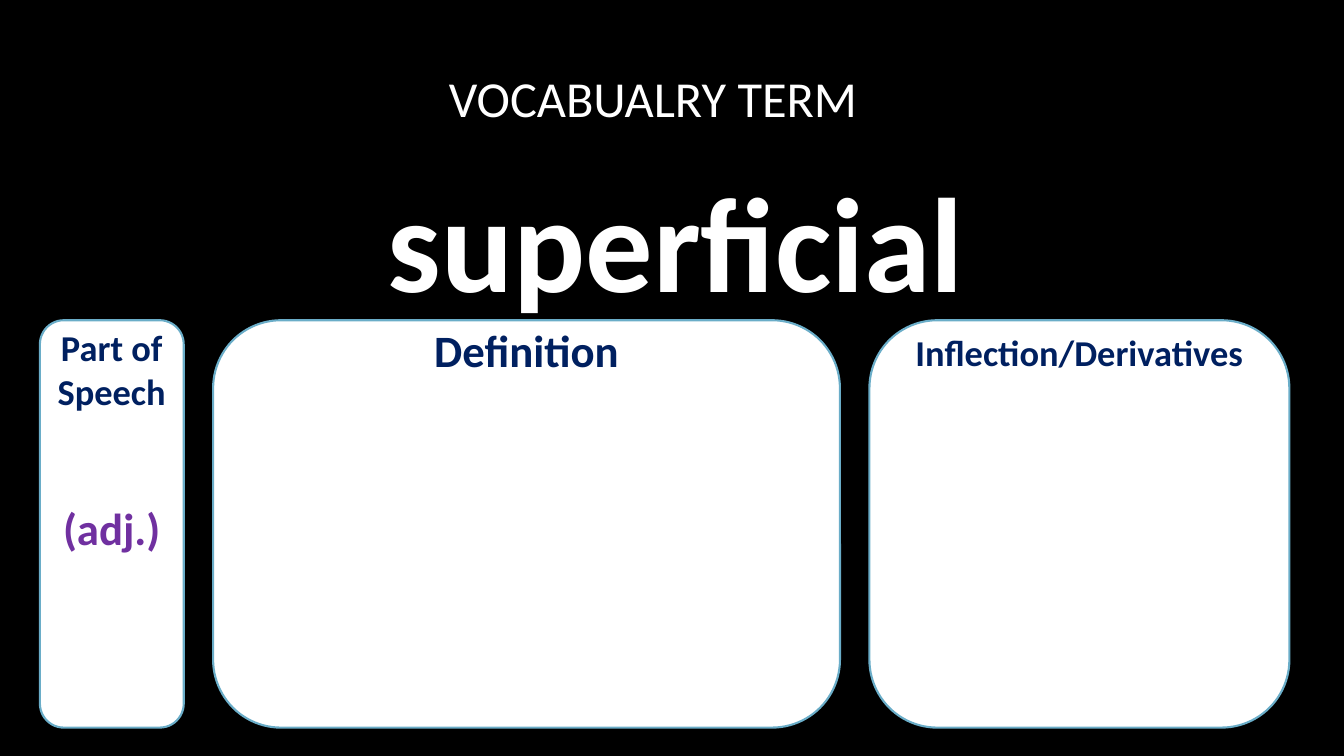
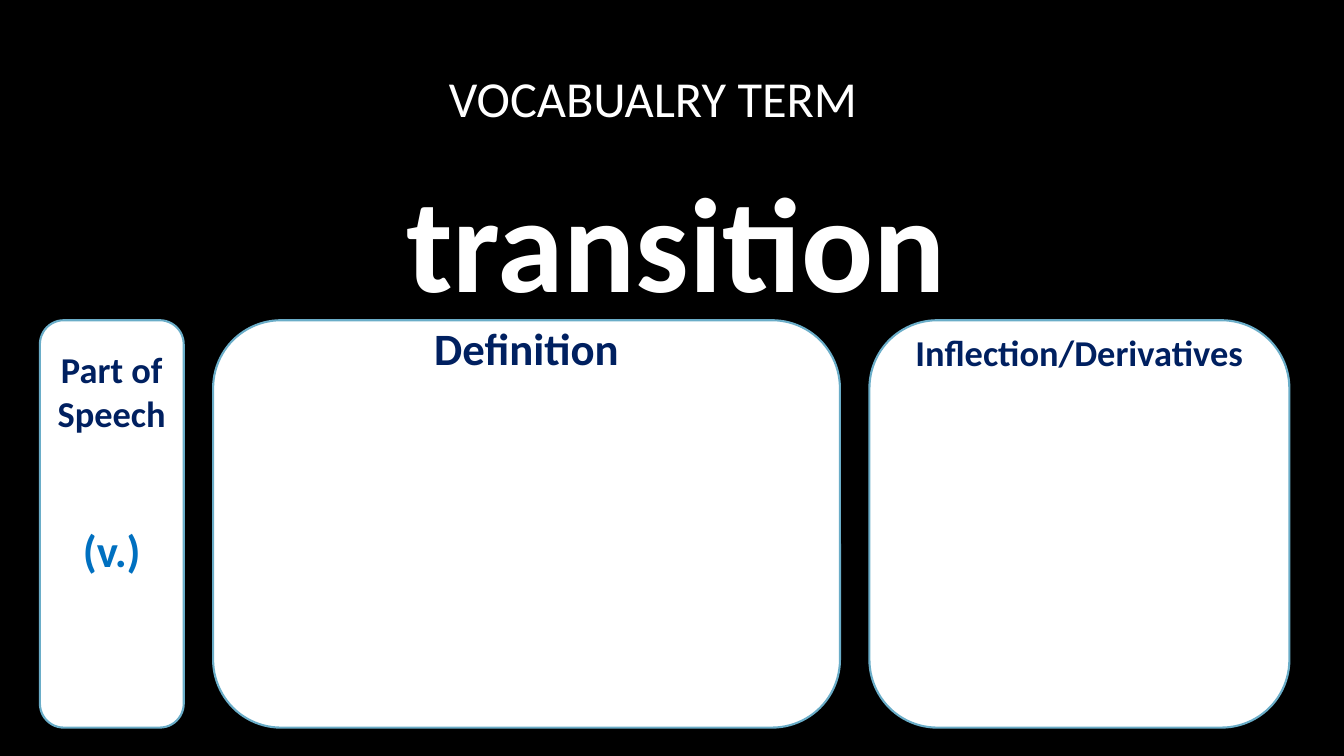
from dataclasses import dataclass

from pptx import Presentation
from pptx.dml.color import RGBColor
from pptx.enum.shapes import MSO_SHAPE
from pptx.enum.text import MSO_ANCHOR, MSO_AUTO_SIZE, PP_ALIGN
from pptx.slide import Slide
from pptx.text.text import TextFrame
from pptx.util import Emu, Pt

ROUNDED = MSO_SHAPE.ROUNDED_RECTANGLE
MIDDLE = MSO_ANCHOR.MIDDLE
CENTER = PP_ALIGN.CENTER
NO_AUTOFIT = MSO_AUTO_SIZE.NONE

BLACK = RGBColor(0x00, 0x00, 0x00)
WHITE = RGBColor(0xFF, 0xFF, 0xFF)
NAVY = RGBColor(0x00, 0x20, 0x60)
PURPLE = RGBColor(0x70, 0x30, 0xA0)
BLUE = RGBColor(0x00, 0x70, 0xC0)
CARD_BORDER = RGBColor(0x6A, 0xAD, 0xC8)

FONT = "Calibri"
EMU_PER_PX = 9525
PAGE_WIDTH, PAGE_HEIGHT = 1280, 720
HEADING_LEFT, HEADING_WIDTH = 112, 1064
TITLE_TOP, TITLE_HEIGHT = 44, 92
WORD_TOP, WORD_HEIGHT = 136, 169
CARD_TOP, CARD_HEIGHT = 305, 388
CARD_LEFT, CARD_GAP = 38, 28


@dataclass(frozen=True)
class Term:
    word: str
    part_of_speech: str
    color: RGBColor
    speech_middle: int
    definition_middle: int


@dataclass(frozen=True)
class Card:
    """A labelled panel; middle is the text centre below the panel's top."""
    label: str
    width: int
    size: int
    middle: int


TERMS = [
    Term("superficial", "(adj.)", PURPLE, 114, 28),
    Term("transition", "(v.)", BLUE, 135, 26),
]


def px(length: int) -> Emu:
    return Emu(length * EMU_PER_PX)


def set_frame(frame: TextFrame, *, top: int = 0, right: int = 10, bottom: int = 0) -> None:
    frame.word_wrap = True
    frame.auto_size = NO_AUTOFIT
    frame.vertical_anchor = MIDDLE
    frame.margin_left = px(10)
    frame.margin_top, frame.margin_right, frame.margin_bottom = px(top), px(right), px(bottom)


def write(frame: TextFrame, text: str, *, size: int, color: RGBColor,
          bold: bool = True, new: bool = False, before: int = 0) -> None:
    """Write a centred paragraph, either the first one or a new one."""
    para = frame.add_paragraph() if new else frame.paragraphs[0]
    para.alignment = CENTER
    para.space_before = Pt(before)
    span = para.add_run()
    span.text = text
    span.font.name = FONT
    span.font.size = Pt(size)
    span.font.bold = bold
    span.font.color.rgb = color


def add_heading(page: Slide, word: str) -> None:
    title = page.shapes.title
    title.left, title.top = px(HEADING_LEFT), px(TITLE_TOP)
    title.width, title.height = px(HEADING_WIDTH), px(TITLE_HEIGHT)
    set_frame(title.text_frame, top=6, right=54)
    write(title.text_frame, "VOCABUALRY TERM", size=36, color=WHITE, bold=False)

    box = page.shapes.add_textbox(px(HEADING_LEFT), px(WORD_TOP), px(HEADING_WIDTH), px(WORD_HEIGHT))
    set_frame(box.text_frame, top=13)
    write(box.text_frame, word, size=96, color=WHITE)


def add_card(page: Slide, card: Card, left: int) -> TextFrame:
    shape = page.shapes.add_shape(ROUNDED, px(left), px(CARD_TOP), px(card.width), px(CARD_HEIGHT))
    shape.shadow.inherit = False
    shape.fill.solid()
    shape.fill.fore_color.rgb = WHITE
    shape.line.color.rgb = CARD_BORDER
    shape.line.width = Pt(1.5)
    set_frame(shape.text_frame, bottom=CARD_HEIGHT - 2 * card.middle)
    write(shape.text_frame, card.label, size=card.size, color=NAVY)
    return shape.text_frame


def add_term_page(deck: Presentation, term: Term) -> None:
    page = deck.slides.add_slide(deck.slide_layouts.get_by_name("Title Only"))
    page.background.fill.solid()
    page.background.fill.fore_color.rgb = BLACK
    add_heading(page, term.word)

    cards = [
        Card("Part of Speech", 137, 26, term.speech_middle),
        Card("Definition", 597, 32, term.definition_middle),
        Card("Inflection/Derivatives", 400, 26, 30),
    ]
    left = CARD_LEFT
    frames = []
    for card in cards:
        frames.append(add_card(page, card, left))
        left += card.width + CARD_GAP
    write(frames[0], term.part_of_speech, size=32, color=term.color, new=True, before=63)


def main() -> None:
    deck = Presentation()
    deck.slide_width, deck.slide_height = px(PAGE_WIDTH), px(PAGE_HEIGHT)
    for term in TERMS:
        add_term_page(deck, term)
    deck.save("out.pptx")


if __name__ == "__main__":
    main()
